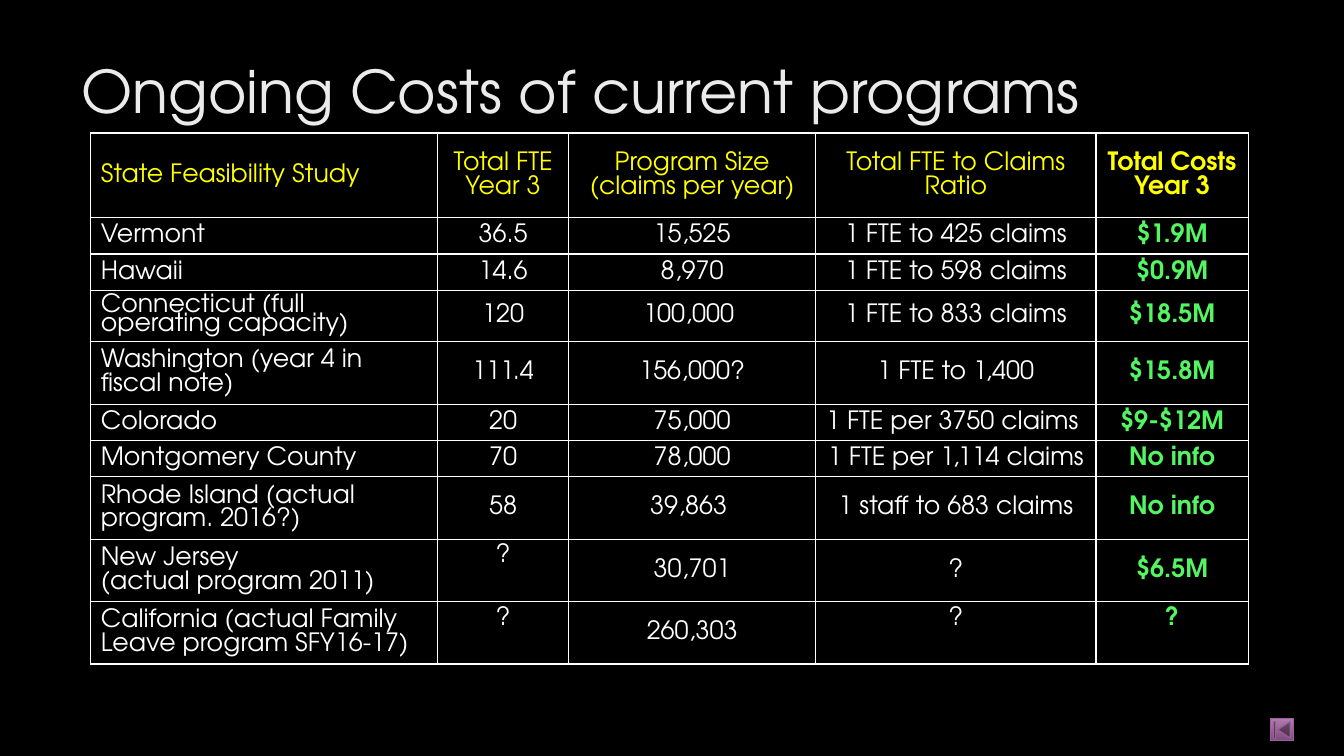
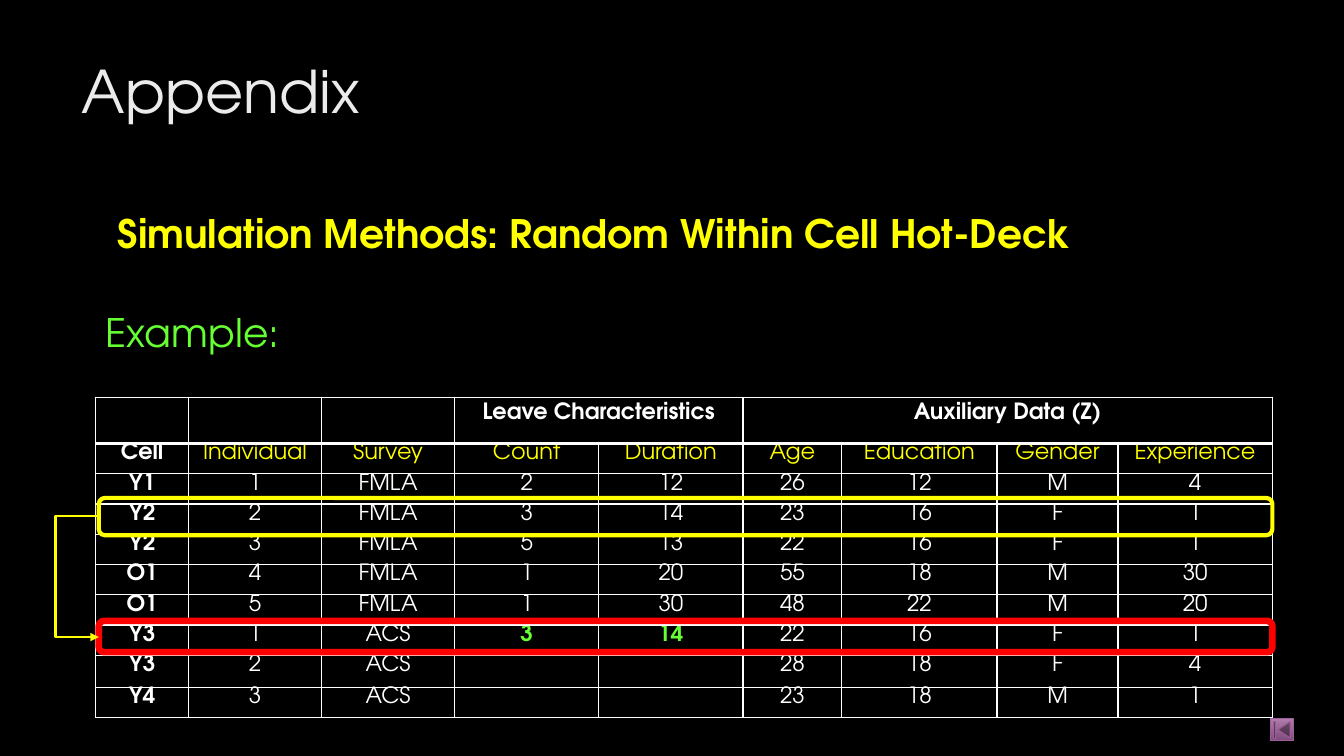
import pptx
import pptx.util
import pptx.dml.color
import pptx.enum.dml
import pptx.enum.shapes
import pptx.enum.text
import pptx.oxml
import pptx.oxml.ns
from lxml import etree

Inches = pptx.util.Inches
Pt = pptx.util.Pt
RGBColor = pptx.dml.color.RGBColor
MSO_SHAPE = pptx.enum.shapes.MSO_SHAPE
PP_ALIGN = pptx.enum.text.PP_ALIGN
ANCHOR = pptx.enum.text.MSO_ANCHOR
qn = pptx.oxml.ns.qn

FONT = "TeX Gyre Adventor"
BLACK = RGBColor(0x00, 0x00, 0x00)
WHITE = RGBColor(0xFF, 0xFF, 0xFF)
TITLE = RGBColor(0xEB, 0xEB, 0xEB)
YELLOW = RGBColor(0xFF, 0xFF, 0x00)
RED = RGBColor(0xFF, 0x00, 0x00)
COST_GREEN = RGBColor(0x53, 0xF5, 0x62)
GREEN = RGBColor(0x66, 0xFF, 0x33)
BUTTON_LIGHT = RGBColor(0xAF, 0x7C, 0xAC)
BUTTON_DARK = RGBColor(0x7F, 0x4B, 0x7C)
BUTTON_LINE = RGBColor(0x9E, 0x5E, 0x9B)

COST_COLS = [3.44, 1.3, 2.45, 2.78, 1.51]
COST_HEIGHTS = [0.84, 0.36, 0.36, 0.51, 0.62, 0.36, 0.36, 0.62, 0.62, 0.62]
COST_ROWS = [
    ["State Feasibility Study", "Total FTE Year 3", "Program Size (claims per year)",
     "Total FTE to Claims Ratio", "Total Costs Year 3"],
    ["Vermont", "36.5", "15,525", "1 FTE to 425 claims", "$1.9M"],
    ["Hawaii", "14.6", "8,970", "1 FTE to 598 claims", "$0.9M"],
    ["Connecticut (full operating capacity)", "120", "100,000 ",
     "1 FTE to 833 claims", "$18.5M"],
    ["Washington (year 4 in fiscal note)", "111.4", "156,000?", "1 FTE to 1,400", "$15.8M"],
    ["Colorado", "20", "75,000", "1 FTE per 3750 claims ", "$9-$12M"],
    ["Montgomery County", "70", "78,000", "1 FTE per 1,114 claims", "No info"],
    ["Rhode Island (actual program. 2016?)", "58", "39,863 ",
     "1 staff to 683 claims", "No info"],
    ["New Jersey\n(actual program 2011)", "?", "30,701", "?", "$6.5M"],
    ["California (actual Family Leave program SFY16-17)", "?", "260,303", "?", "?"],
]
COST_TOP_CELLS = {(8, 1), (9, 1), (9, 3), (9, 4)}
COST_TIGHT_ROW = 3

DECK_COLS = [0.92, 1.32, 1.32, 1.43, 1.43, 0.98, 1.54, 1.2, 1.53]
DECK_HEIGHTS = [0.46] + [0.3] * 7 + [0.32, 0.3]
DECK_ROWS = [
    ["", "", "", "Leave Characteristics", "", "Auxiliary Data (Z)", "", "", ""],
    ["Cell", "Individual", "Survey", "Count", "Duration",
     "Age", "Education", "Gender", "Experience"],
    ["Y1", "1", "FMLA", "2", "12", "26", "12", "M", "4"],
    ["Y2", "2", "FMLA", "3", "14", "23", "16", "F", "1"],
    ["Y2", "3", "FMLA", "5", "13", "22", "16", "F", "1"],
    ["O1", "4", "FMLA", "1", "20", "55", "18", "M", "30"],
    ["O1", "5", "FMLA", "1", "30", "48", "22", "M", "20"],
    ["Y3", "1", "ACS", "3", "14", "22", "16", "F", "1"],
    ["Y3", "2", "ACS", "", "", "28", "18", "F", "4"],
    ["Y4", "3", "ACS", "", "", "23", "18", "M", "1"],
]
DECK_SPANS = [(3, 4), (5, 8)]
IMPUTED_CELLS = {(7, 3), (7, 4)}


def set_font(font, size, color, bold=False):
    font.name = FONT
    font.size = Pt(size)
    font.bold = bold
    font.color.rgb = color


def add_text(s, x, y, w, h, text, size, color, bold=False, indent=0):
    tf = s.shapes.add_textbox(Inches(x), Inches(y), Inches(w), Inches(h)).text_frame
    tf.word_wrap = True
    tf.margin_left = Inches(0.1 + indent)
    p = tf.paragraphs[0]
    p.text = text
    set_font(p.font, size, color, bold)


def add_back_button(s, x, y, w, h):
    sp = s.shapes.add_shape(MSO_SHAPE.ACTION_BUTTON_BEGINNING,
                            Inches(x), Inches(y), Inches(w), Inches(h))
    sp.fill.gradient()
    sp.fill.gradient_angle = 270
    for stop, color, position in zip(sp.fill.gradient_stops,
                                     (BUTTON_LIGHT, BUTTON_DARK), (0, 1)):
        stop.color.rgb = color
        stop.position = position
    sp.line.color.rgb = BUTTON_LINE
    sp.line.width = Pt(0.75)
    sp.shadow.inherit = False
    effects = sp.element.spPr.find(qn("a:effectLst"))
    shadow = etree.SubElement(effects, qn("a:outerShdw"), blurRad=str(Pt(3)),
                              dist=str(Pt(2)), dir="5400000", rotWithShape="0")
    color = etree.SubElement(shadow, qn("a:srgbClr"), val=str(BLACK))
    etree.SubElement(color, qn("a:alpha"), val="45000")


def add_base_slide(prs, title):
    """Add a black slide with its title and the back button."""
    s = prs.slides.add_slide(prs.slide_layouts[6])
    s.background.fill.solid()
    s.background.fill.fore_color.rgb = BLACK
    add_back_button(s, 12.6, 7.13, 0.23, 0.22)
    add_text(s, 0.71, 0.49, 10.29, 1.53, title, 42, TITLE)
    return s


def set_borders(cell, top=1, bottom=1):
    tc_pr = cell._tc.get_or_add_tcPr()
    for side, width in (("L", 1), ("R", 1), ("T", top), ("B", bottom)):
        ln = etree.SubElement(tc_pr, qn("a:ln" + side), w=str(Pt(width)))
        fill = etree.SubElement(ln, qn("a:solidFill"))
        etree.SubElement(fill, qn("a:srgbClr"), val=str(WHITE))


def add_grid(s, x, y, cols, heights, rows, size, style, header_rule=1):
    """Add a bordered black table; style(cell, row, col) returns colour, bold, alignment."""
    table = s.shapes.add_table(len(rows), len(cols), Inches(x), Inches(y),
                               Inches(sum(cols)), Inches(sum(heights))).table
    table.first_row = table.horz_banding = False
    for column, width in zip(table.columns, cols):
        column.width = Inches(width)
    for i, (row, height, texts) in enumerate(zip(table.rows, heights, rows)):
        row.height = Inches(height)
        for j, text in enumerate(texts):
            cell = table.cell(i, j)
            set_borders(cell, top=header_rule if i == 1 else 1,
                        bottom=header_rule if i == 0 else 1)
            cell.fill.solid()
            cell.fill.fore_color.rgb = BLACK
            cell.text = text
            color, bold, align = style(cell, i, j)
            for p in cell.text_frame.paragraphs:
                p.alignment = align
                for font in [r.font for r in p.runs] or [p.font]:
                    set_font(font, size, color, bold)
    return table


def style_cost_cell(cell, row, col):
    is_top = (row, col) in COST_TOP_CELLS
    cell.vertical_anchor = ANCHOR.TOP if is_top else ANCHOR.MIDDLE
    cell.margin_top = Inches(0.05 if is_top else 0)
    cell.margin_bottom = 0
    if (row, col) == (COST_TIGHT_ROW, 0):
        cell.text_frame.paragraphs[0].line_spacing = 0.8
    is_cost = col == len(COST_COLS) - 1
    color = YELLOW if row == 0 else COST_GREEN if is_cost else WHITE
    return color, is_cost, PP_ALIGN.CENTER if col else PP_ALIGN.LEFT


def style_deck_cell(cell, row, col):
    cell.vertical_anchor = ANCHOR.TOP
    cell.margin_left = cell.margin_right = Inches(0.09 if row else 0.12)
    cell.margin_top = cell.margin_bottom = Inches(0 if row else 0.06)
    imputed = (row, col) in IMPUTED_CELLS
    color = GREEN if imputed else YELLOW if row == 1 and col else WHITE
    return color, imputed or row == 0 or col == 0, PP_ALIGN.CENTER


def add_row_frame(s, x, y, w, h, color, width):
    sp = s.shapes.add_shape(MSO_SHAPE.ROUNDED_RECTANGLE,
                            Inches(x), Inches(y), Inches(w), Inches(h))
    sp.shadow.inherit = False
    sp.fill.background()
    sp.line.color.rgb = color
    sp.line.width = Pt(width)


def add_donor_arrow(s, x, top, bottom, bend_x):
    """Draw an elbow arrow that leaves to the left, drops and comes back."""
    step = 0.02
    conn = s.shapes.add_connector(pptx.enum.shapes.MSO_CONNECTOR.ELBOW, Inches(x),
                                  Inches(bottom), Inches(x + step), Inches(top))
    conn.line.color.rgb = YELLOW
    conn.line.width = Pt(2)
    sp_pr = conn._element.spPr
    sp_pr.find(qn("a:xfrm")).set("rot", "10800000")
    guides = sp_pr.find(qn("a:prstGeom")).get_or_add_avLst()
    bend = round((x + step - bend_x) / step * 100000)
    etree.SubElement(guides, qn("a:gd"), name="adj1", fmla=f"val {bend}")
    etree.SubElement(sp_pr.find(qn("a:ln")), qn("a:tailEnd"), type="triangle")
    etree.SubElement(sp_pr, qn("a:effectLst"))


def add_costs_slide(prs):
    s = add_base_slide(prs, "Ongoing Costs of current programs")
    add_grid(s, 0.9, 1.32, COST_COLS, COST_HEIGHTS, COST_ROWS, 18, style_cost_cell)


def add_appendix_slide(prs):
    s = add_base_slide(prs, "Appendix")
    add_text(s, 0.95, 2.03, 11.25, 0.81, "Simulation Methods: Random Within Cell Hot-Deck",
             28, YELLOW, bold=True, indent=0.12)
    add_text(s, 0.95, 3.01, 11.22, 0.57, "Example:", 28, GREEN)
    table = add_grid(s, 0.95, 3.94, DECK_COLS, DECK_HEIGHTS, DECK_ROWS, 16,
                     style_deck_cell, header_rule=3)
    for first, last in DECK_SPANS:
        table.cell(0, first).merge(table.cell(0, last))
    add_row_frame(s, 0.98, 4.94, 11.64, 0.37, YELLOW, 3)
    add_row_frame(s, 0.98, 6.16, 11.64, 0.31, RED, 4.75)
    add_donor_arrow(s, 0.98, 5.12, 6.32, 0.55)


def main():
    prs = pptx.Presentation()
    prs.slide_width = Inches(13.33)
    prs.slide_height = Inches(7.5)
    add_costs_slide(prs)
    add_appendix_slide(prs)
    prs.save("out.pptx")


if __name__ == "__main__":
    main()
